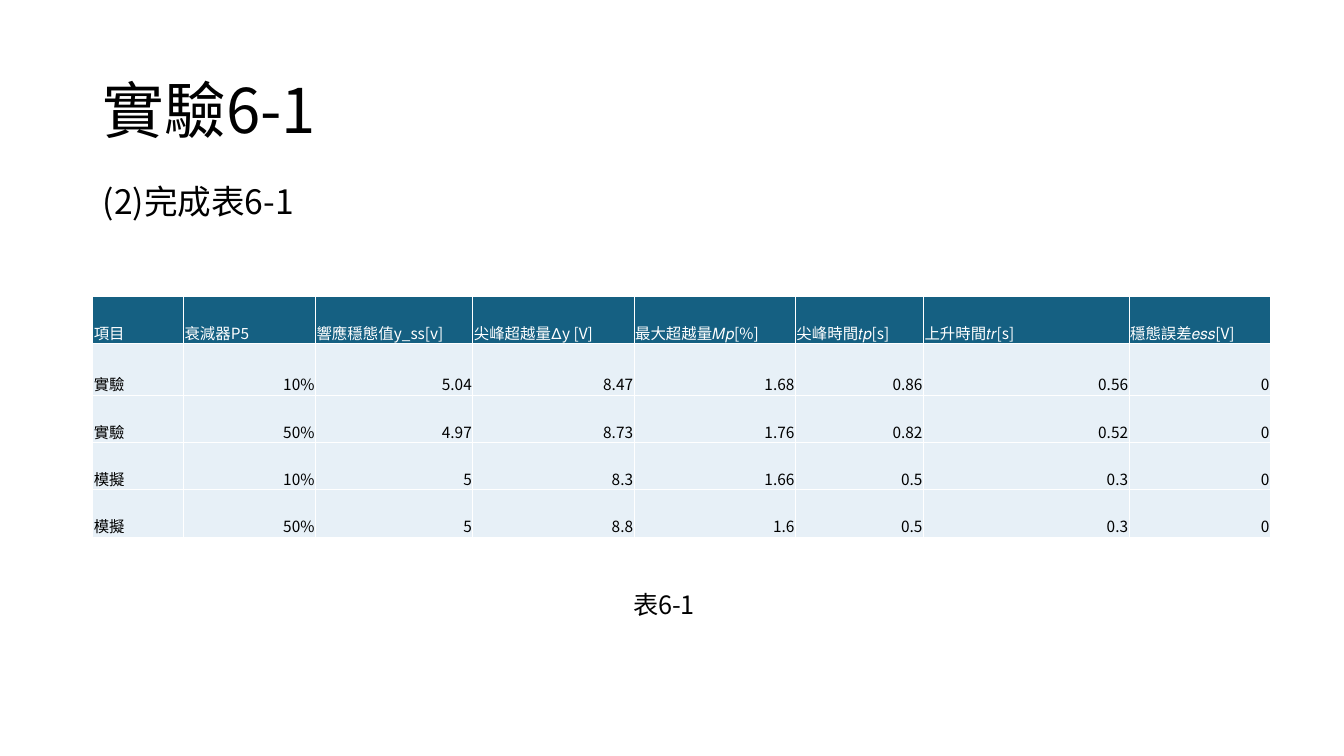
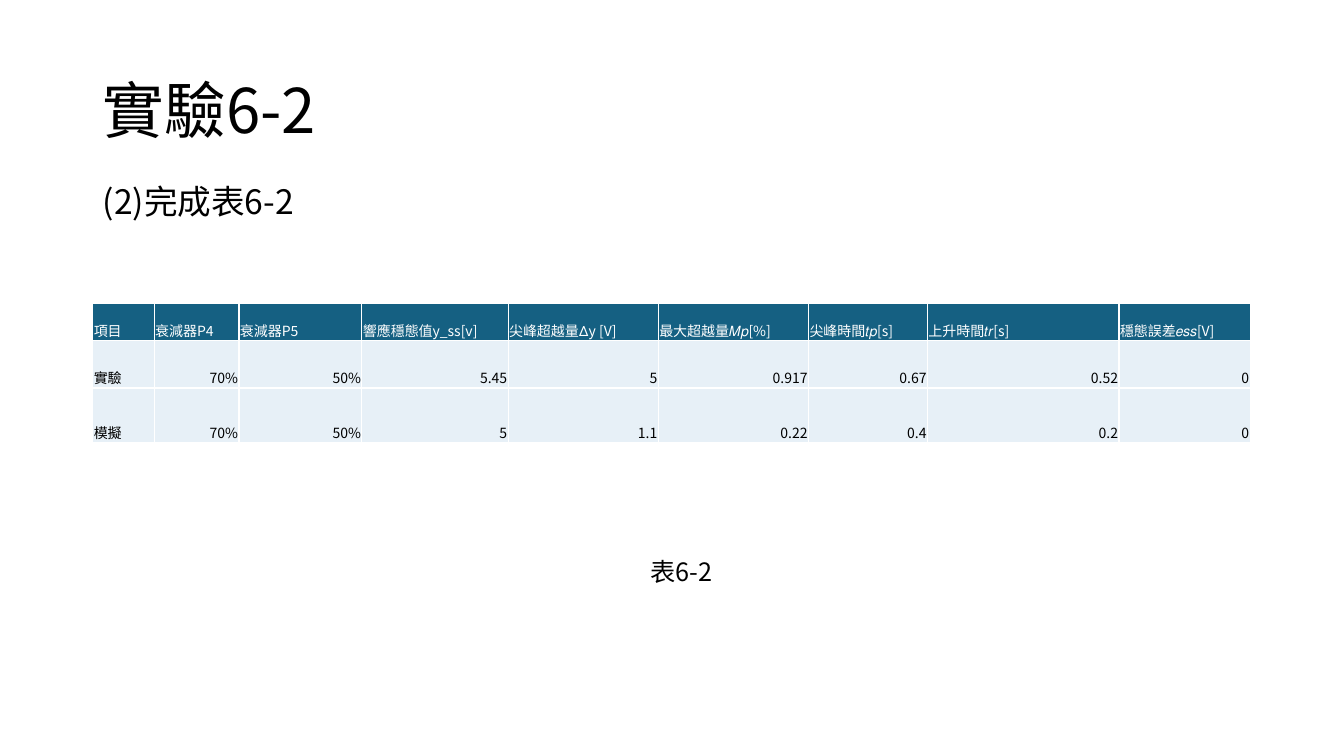
from itertools import chain

from lxml import etree
from pptx import Presentation
from pptx import util as u
from pptx.dml.color import RGBColor
from pptx.enum import text
from pptx.oxml import ns

FONT = "Noto Sans CJK SC"
SYMBOL_FONT = "Roboto"
BLACK, WHITE = "000000", "FFFFFF"
HEADER_FILL, BODY_FILL = "156082", "E7F0F7"
MEASURES = [
    "響應穩態值y_ss[v]", "尖峰超越量Δy [V]", "最大超越量𝑀𝑝[%]",
    "尖峰時間𝑡𝑝[s]", "上升時間𝑡𝑟[s]", "穩態誤差𝑒𝑠𝑠[V]",
]


def color(value):
    return RGBColor.from_string(value)


class Deck:
    def __init__(self):
        self.presentation = Presentation()
        self.presentation.slide_width = u.Inches(13.33)
        self.presentation.slide_height = u.Inches(7.5)
        self.slide = None

    def style(self, paragraph, size, fill=BLACK):
        font = paragraph.font
        font.name, font.size, font.bold = FONT, u.Pt(size), False
        font.color.rgb = color(fill)
        latin = font._element.find(ns.qn("a:latin"))
        east_asian = etree.Element(ns.qn("a:ea"), typeface=FONT)
        latin.addnext(east_asian)

    def place(self, shape, left, top, width, height):
        shape.left, shape.top = u.Inches(left), u.Inches(top)
        shape.width, shape.height = u.Inches(width), u.Inches(height)

    def heading(self, shape, wording, top, size):
        self.place(shape, 0.92, top, 11.5, 1.45)
        frame = shape.text_frame
        frame.word_wrap = True
        frame.vertical_anchor = text.MSO_ANCHOR.MIDDLE
        paragraph = frame.paragraphs[0]
        paragraph.text = wording
        paragraph.alignment = text.PP_ALIGN.LEFT
        paragraph.line_spacing = 0.9
        self.style(paragraph, size)

    def add_slide(self, title, subtitle):
        layout = self.presentation.slide_layouts[5]
        self.slide = self.presentation.slides.add_slide(layout)
        self.heading(self.slide.shapes.title, title, 0.4, 44)
        self.heading(self.slide.shapes.add_textbox(0, 0, 0, 0), subtitle, 1.29, 24)

    def caption(self, wording, left, top, width):
        shape = self.slide.shapes.add_textbox(0, 0, 0, 0)
        self.place(shape, left, top, width, 0.4)
        shape.text_frame.word_wrap = True
        paragraph = shape.text_frame.paragraphs[0]
        paragraph.text = wording
        self.style(paragraph, 18)

    def borders(self, cell):
        properties = cell._tc.get_or_add_tcPr()
        for index, side in enumerate(("lnL", "lnR", "lnT", "lnB")):
            line = etree.Element(ns.qn(f"a:{side}"), w=str(u.Pt(1)))
            solid = etree.SubElement(line, ns.qn("a:solidFill"))
            etree.SubElement(solid, ns.qn("a:srgbClr"), val=WHITE)
            properties.insert(index, line)

    def cell(self, cell, wording, size, is_header, align_right):
        cell.fill.solid()
        cell.fill.fore_color.rgb = color(HEADER_FILL if is_header else BODY_FILL)
        cell.margin_left = cell.margin_right = cell.margin_top = u.Inches(0.01)
        cell.margin_bottom = 0
        cell.vertical_anchor = text.MSO_ANCHOR.BOTTOM
        self.borders(cell)
        paragraph = cell.text_frame.paragraphs[0]
        for part in filter(None, chain.from_iterable(
                (before, symbol) for before, symbol in [wording.partition("Δ")[:2]])):
            run = paragraph.add_run()
            run.text = part
            if part == "Δ":
                run.font.name = SYMBOL_FONT
        remainder = wording.partition("Δ")[2]
        if remainder:
            paragraph.add_run().text = remainder
        if align_right:
            paragraph.alignment = text.PP_ALIGN.RIGHT
        self.style(paragraph, size, WHITE if is_header else BLACK)

    def table(self, rows, top, widths, heights, size):
        frame = self.slide.shapes.add_table(
            len(heights), len(widths), u.Inches(0.92), u.Inches(top),
            u.Inches(sum(widths)), u.Inches(sum(heights)))
        table = frame.table
        table.horz_banding = False
        for column, width in zip(table.columns, widths):
            column.width = u.Inches(width)
        for row, height in zip(table.rows, heights):
            row.height = u.Inches(height)
        for row_index, row in enumerate(rows):
            for column_index, wording in enumerate(row):
                self.cell(table.cell(row_index, column_index), wording, size,
                          row_index == 0, row_index > 0 and column_index > 0)


def main():
    deck = Deck()

    deck.add_slide("實驗6-1", "(2)完成表6-1")
    deck.table(
        [
            ["項目", "衰減器P5", *MEASURES],
            ["實驗", "10%", "5.04", "8.47", "1.68", "0.86", "0.56", "0"],
            ["實驗", "50%", "4.97", "8.73", "1.76", "0.82", "0.52", "0"],
            ["模擬", "10%", "5", "8.3", "1.66", "0.5", "0.3", "0"],
            ["模擬", "50%", "5", "8.8", "1.6", "0.5", "0.3", "0"],
        ],
        top=2.94, size=11,
        widths=[0.9, 1.31, 1.56, 1.6, 1.6, 1.27, 2.04, 1.4],
        heights=[0.47, 0.51, 0.47, 0.47, 0.47])
    deck.caption("表6-1", 6.18, 5.8, 1.45)

    deck.add_slide("實驗6-2", "(2)完成表6-2")
    deck.caption("表6-2", 6.35, 5.47, 1.35)
    deck.table(
        [
            ["項目", "衰減器P4", "衰減器P5", *MEASURES],
            ["實驗", "70%", "50%", "5.45", "5", "0.917", "0.67", "0.52", "0"],
            ["模擬", "70%", "50%", "5", "1.1", "0.22", "0.4", "0.2", "0"],
        ],
        top=3.01, size=10,
        widths=[0.61, 0.84, 1.22, 1.45, 1.49, 1.49, 1.18, 1.9, 1.3],
        heights=[0.37, 0.47, 0.54])

    deck.presentation.save("out.pptx")


if __name__ == "__main__":
    main()
